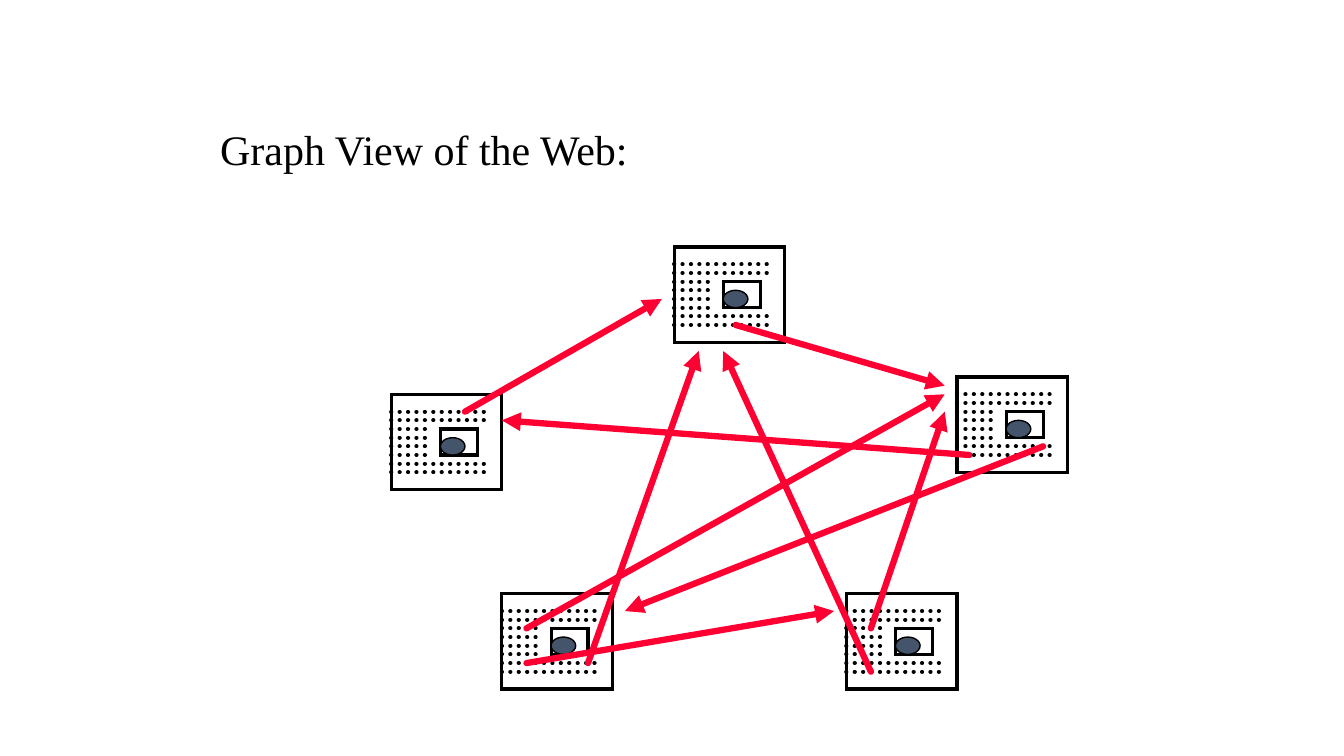
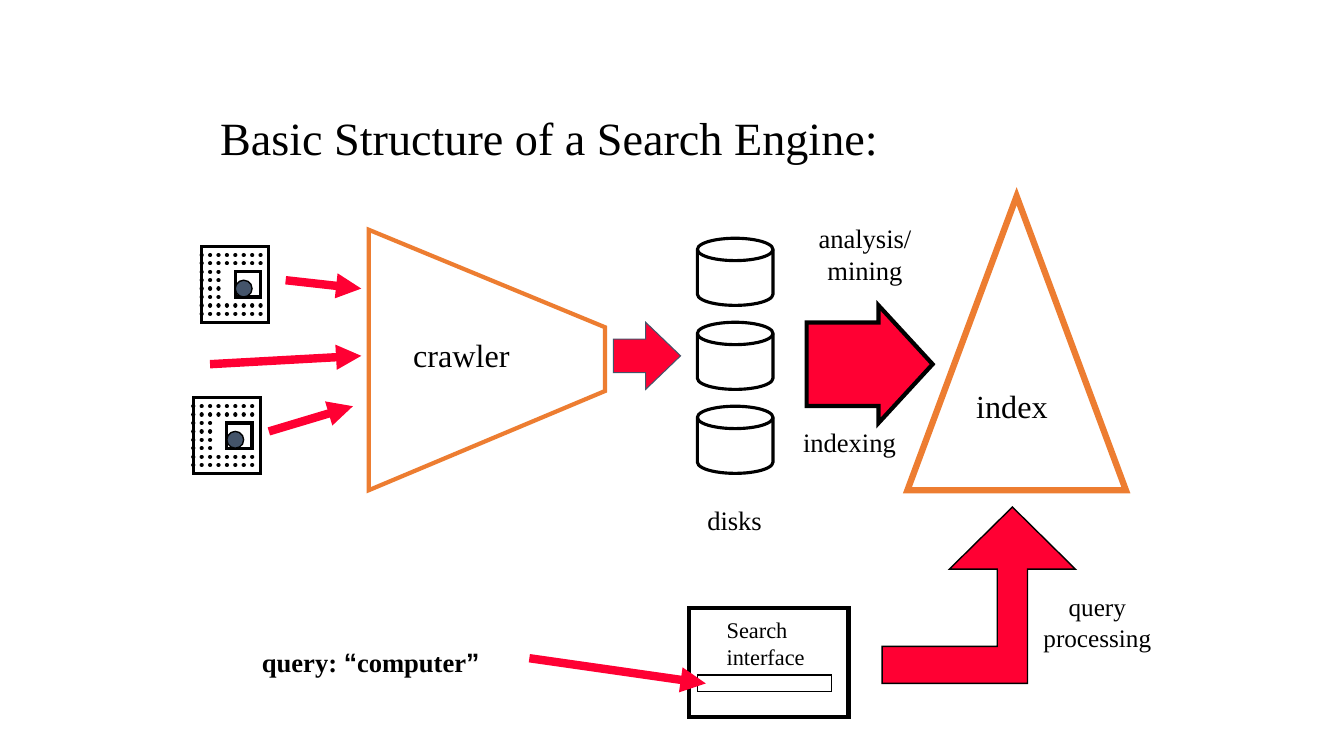
from dataclasses import dataclass
from itertools import groupby

from lxml.etree import SubElement as Sub
from pptx import Presentation
from pptx.dml.color import RGBColor as Rgb
from pptx.enum.dml import MSO_LINE as Dash
from pptx.enum.shapes import MSO_CONNECTOR as Link, MSO_SHAPE as Kind
from pptx.enum.text import MSO_ANCHOR as Anchor, MSO_AUTO_SIZE as Fit, PP_ALIGN as Align
from pptx.oxml.ns import qn
from pptx.util import Inches, Pt

HUES = {"ink": "000000", "red": "FF0033", "slate": "44546A", "orange": "ED7D31"}
SERIF, SANS = "Times New Roman", "Arial"
QUOTES = "“”"


@dataclass
class Grid:
    """Columns and rows, in inches, counted from an origin."""
    left: float
    top: float
    col: float
    row: float

    def point(self, x, y):
        return Inches(self.left + x * self.col), Inches(self.top + y * self.row)

    def box(self, x, y, w, h):
        return *self.point(x, y), Inches(w * self.col), Inches(h * self.row)


WEB = Grid(3.88, 2.45, 0.122, 0.086)
FLOW = Grid(0, 0.03, 1 / 12, 1 / 12)


def hue(name):
    return Rgb.from_string(HUES[name])


def write(frame, text, size=19, align=Align.LEFT, bold=False):
    """Fill a text frame line by line, with quote marks in the sans font."""
    frame.word_wrap = False
    frame.auto_size = Fit.NONE
    frame.vertical_anchor = Anchor.TOP
    frame.margin_left = frame.margin_right = Inches(0.1)
    frame.margin_top = frame.margin_bottom = Inches(0.05)
    for i, line in enumerate(text.split("\n")):
        para = frame.add_paragraph() if i else frame.paragraphs[0]
        para.alignment = align
        for quoted, chars in groupby(line, lambda c: c in QUOTES):
            run = para.add_run()
            run.text = "".join(chars)
            font = run.font
            font.name = SANS if quoted else SERIF
            font.size, font.bold = Pt(size), bold
            font.color.rgb = hue("ink")


def title(slide, text, box, size):
    head = slide.shapes.title
    head.left, head.top, head.width, head.height = FLOW.box(*box)
    write(head.text_frame, text, size=size)


def label(slide, text, box, **style):
    write(slide.shapes.add_textbox(*FLOW.box(*box)).text_frame, text, **style)


def paint(shape, fill=None, line="ink", width=2.25):
    shape.shadow.inherit = False
    if fill:
        shape.fill.solid()
        shape.fill.fore_color.rgb = hue(fill)
    else:
        shape.fill.background()
    shape.line.color.rgb = hue(line)
    shape.line.width = Pt(width)
    Sub(shape.element.spPr.get_or_add_ln(), qn("a:miter"), lim="800000")


def draw(slide, kind, box, grid=FLOW, adj=(), **style):
    shape = slide.shapes.add_shape(kind, *grid.box(*box))
    for i, share in enumerate(adj):
        shape.adjustments[i] = share
    paint(shape, **style)


def outline(slide, spots, **style):
    first, *rest = [FLOW.point(*spot) for spot in spots]
    pen = slide.shapes.build_freeform(*first)
    pen.add_line_segments(rest, close=True)
    paint(pen.convert_to_shape(), **style)


def stroke(slide, grid, start, end, color="ink", width=3, dots=False, tip=False, cap="rnd"):
    line = slide.shapes.add_connector(Link.STRAIGHT, *grid.point(*start), *grid.point(*end))
    line.line.color.rgb = hue(color)
    line.line.width = Pt(width)
    if dots:
        line.line.dash_style = Dash.ROUND_DOT
    props = line.element.spPr
    edge = props.get_or_add_ln()
    edge.set("cap", cap)
    if tip:
        Sub(edge, qn("a:tailEnd"), type="triangle")
    Sub(props, qn("a:effectLst"))


def page(slide, grid, x, y, w, h, first):
    """A web page: eight dotted text rows around a small framed image."""
    draw(slide, Kind.RECTANGLE, (x, y, w, h), grid)
    top = y + first
    for i in range(8):
        wide = 3 if 2 <= i <= 5 else 8
        stroke(slide, grid, (x, top + i), (x + wide, top + i), dots=True)
    draw(slide, Kind.RECTANGLE, (x + 4, top + 2, 3, 3), grid)
    draw(slide, Kind.OVAL, (x + 4, top + 3, 2, 2), grid, fill="slate", width=1)


def graph(slide):
    title(slide, "Graph View of the Web:", (25, 13.8, 51.4, 7.2), 30)
    for x, y in [(0, 17), (23, 0), (46, 15), (9, 40), (37, 40)]:
        page(slide, WEB, x, y, 9, 11, first=2)
    links = [
        ((6, 19), (22, 6)), ((16, 48), (25, 12)), ((39, 44), (45, 19)),
        ((11, 48), (36, 42)), ((11, 44), (45, 17)), ((39, 49), (27, 12)),
        ((47, 24), (9, 20)), ((28, 9), (45, 16)), ((53, 23), (19, 42)),
    ]
    for start, end in links:
        stroke(slide, WEB, start, end, color="red", width=4.5, tip=True)


def feed(slide, start, end):
    stroke(slide, FLOW, start, end, color="red", width=6, tip=True, cap="flat")


def crawl(slide):
    for x, y in [(24, 29), (23, 47)]:
        page(slide, FLOW, x, y, 8, 9, first=1)
    for start, end in [((32, 51), (42, 48)), ((25, 43), (43, 42)), ((34, 33), (43, 34))]:
        feed(slide, start, end)
    outline(slide, [(43.9, 58), (72, 46.2), (72, 38.6), (43.9, 27)], line="orange", width=3)
    label(slide, "crawler", (48, 39, 13.9, 5.8), size=23)


def store(slide):
    draw(slide, Kind.RIGHT_ARROW, (73, 38, 8, 8), adj=(0.5, 0.52),
         fill="red", line="slate", width=0.75)
    for y in range(28, 49, 10):
        draw(slide, Kind.FLOWCHART_MAGNETIC_DISK, (83, y, 9, 8))
    label(slide, "disks", (83, 59, 9.2, 5.2))


def index(slide):
    draw(slide, Kind.ISOSCELES_TRIANGLE, (108, 23, 26, 35), line="orange", width=4.5)
    draw(slide, Kind.RIGHT_ARROW, (96, 36, 15, 14), adj=(0.71, 0.46), fill="red", width=3)
    label(slide, "index", (115, 45, 10.9, 5.8), size=23)
    label(slide, "analysis/\nmining", (96, 25.5, 13.9, 9.1), align=Align.CENTER)
    label(slide, "indexing", (94.4, 49.8, 13.9, 5.2))


def query(slide):
    draw(slide, Kind.RECTANGLE, (82, 72, 19, 13), width=3)
    draw(slide, Kind.RECTANGLE, (83, 80, 16, 2), width=1)
    label(slide, "Search\ninterface", (85.3, 72.4, 11.8, 7.6), size=16)
    feed(slide, (63, 78), (84, 81))
    label(slide, "query: “computer”", (30, 76, 28.3, 5.2), bold=True)
    bend = [(120.5, 60), (113, 67.4), (118.7, 67.4), (118.7, 76.6), (105, 76.6),
            (105, 81), (122.3, 81), (122.3, 67.4), (128, 67.4)]
    outline(slide, bend, fill="red", width=1)
    label(slide, "query\nprocessing", (123, 69.5, 15.2, 8.4), size=18, align=Align.CENTER)


def engine(slide):
    title(slide, "Basic Structure of a Search Engine:", (25, 12.1, 81.4, 7.8), 33)
    for part in (crawl, store, index, query):
        part(slide)


def main():
    deck = Presentation()
    deck.slide_width, deck.slide_height = Inches(13.33), Inches(7.5)
    for build in (graph, engine):
        build(deck.slides.add_slide(deck.slide_layouts[5]))
    deck.save("out.pptx")


if __name__ == "__main__":
    main()
